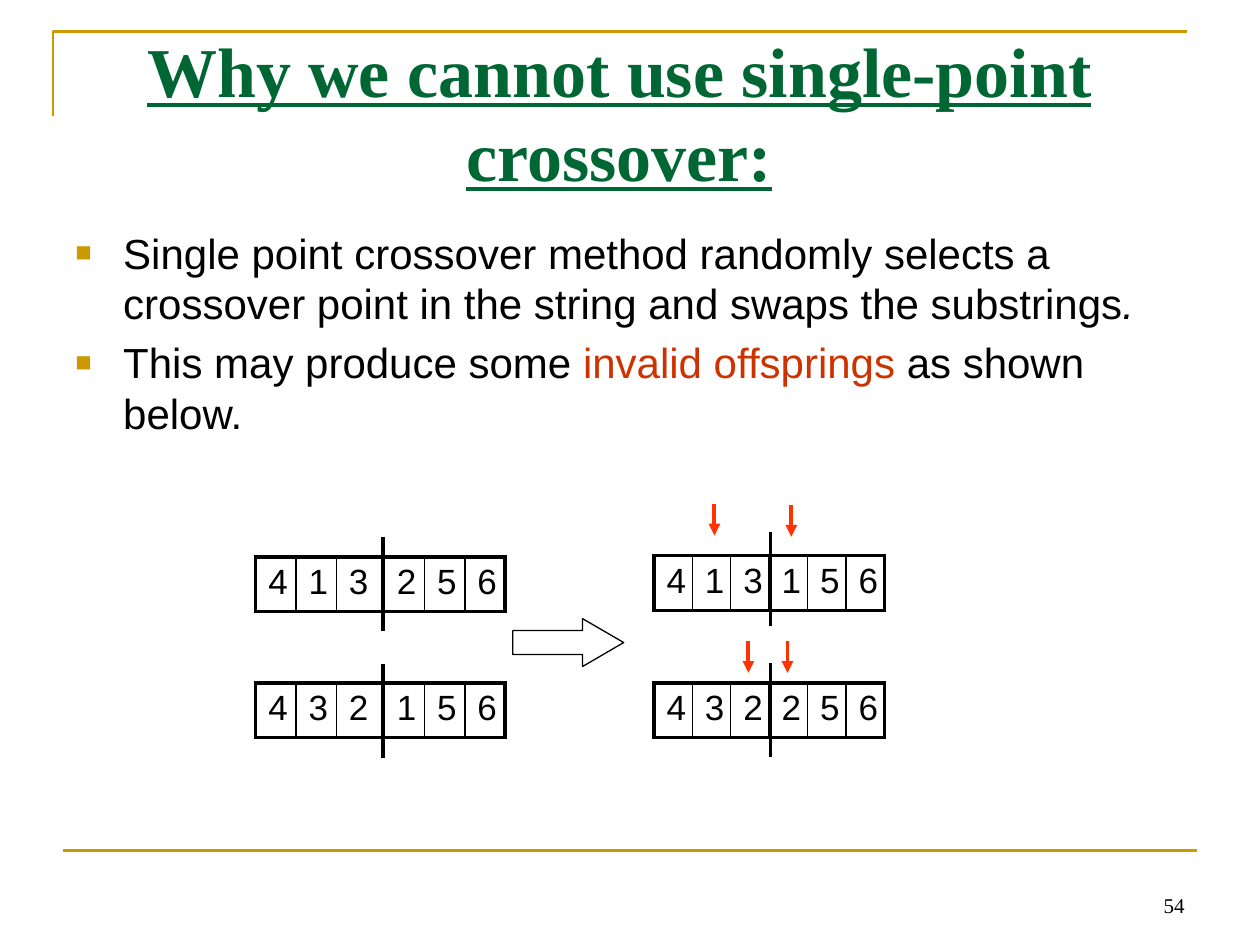
import pptx
import pptx.util
import pptx.dml.color
import pptx.enum.text
import pptx.enum.shapes
import pptx.oxml
import pptx.oxml.ns
from dataclasses import dataclass
from lxml import etree

Inches = pptx.util.Inches
Pt = pptx.util.Pt
qn = pptx.oxml.ns.qn
ALIGN = pptx.enum.text.PP_ALIGN
ANCHOR = pptx.enum.text.MSO_ANCHOR
KIND = pptx.enum.shapes.MSO_SHAPE


@dataclass(frozen=True)
class Theme:
    gold: str = "CC9900"
    green: str = "006633"
    rust: str = "CC3300"
    red: str = "FF3300"
    black: str = "000000"
    white: str = "FFFFFF"
    serif: str = "Times New Roman"
    sans: str = "Arial"
    title: int = 40
    body: int = 24
    cell: int = 20
    small: int = 12
    thick: float = 2.25
    rule: float = 1.5
    thin: float = 1


THEME = Theme()


def rgb(code):
    return pptx.dml.color.RGBColor.from_string(code)


def add_run(par, text, size, face, color=THEME.black):
    run = par.add_run()
    run.text = text
    run.font.size = Pt(size)
    run.font.name = face
    run.font.color.rgb = rgb(color)
    return run


def add_box(slide, box, anchor=ANCHOR.TOP):
    frame = slide.shapes.add_textbox(*map(Inches, box)).text_frame
    frame.word_wrap = True
    frame.vertical_anchor = anchor
    return frame


def add_line(slide, start, end, color, width, arrow=False):
    line = slide.shapes.add_connector(
        pptx.enum.shapes.MSO_CONNECTOR.STRAIGHT, *map(Inches, start + end))
    line.line.color.rgb = rgb(color)
    line.line.width = Pt(width)
    if arrow:
        etree.SubElement(line.line._get_or_add_ln(), qn("a:tailEnd"), type="triangle")
    etree.SubElement(line._element.spPr, qn("a:effectLst"))


def add_frame(slide, box):
    """Corner rule at the top left."""
    x, y, w, h = box
    pen = slide.shapes.build_freeform(Inches(x), Inches(y + h))
    pen.add_line_segments([(Inches(x), Inches(y)), (Inches(x + w), Inches(y))], close=False)
    shape = pen.convert_to_shape()
    shape.shadow.inherit = False
    shape.fill.background()
    shape.line.color.rgb = rgb(THEME.gold)
    shape.line.width = Pt(THEME.rule)


def add_foot(slide, box):
    """Bottom rule with the page number below it."""
    x, y, w, h = box
    add_line(slide, (x, y), (x + w, y), THEME.gold, THEME.rule)
    par = add_box(slide, (x + w - 2.33, y + 0.08, 2.33, h), ANCHOR.BOTTOM).paragraphs[0]
    par.alignment = ALIGN.RIGHT
    add_run(par, "54", THEME.small, THEME.serif)


def add_title(slide, box):
    par = add_box(slide, box).paragraphs[0]
    par.alignment = ALIGN.CENTER
    par.line_spacing = Pt(48)
    run = add_run(par, "Why we cannot use single-point crossover:",
                  THEME.title, THEME.serif, THEME.green)
    run.font.bold = run.font.underline = True


def add_body(slide, box, points):
    frame = add_box(slide, box)
    for i, parts in enumerate(points):
        par = frame.add_paragraph() if i else frame.paragraphs[0]
        par.line_spacing = Pt(29)
        if i:
            par.space_before = Pt(4.8)
        # Square bullet with a hanging indent
        props = par._p.get_or_add_pPr()
        props.set("marL", str(Inches(0.38)))
        props.set("indent", str(Inches(-0.38)))
        tint = etree.SubElement(props, qn("a:buClr"))
        etree.SubElement(tint, qn("a:srgbClr"), val=THEME.gold)
        etree.SubElement(props, qn("a:buSzPct"), val="65000")
        etree.SubElement(props, qn("a:buFont"), typeface=THEME.sans)
        etree.SubElement(props, qn("a:buChar"), char="■")
        for text, color, slant in parts:
            add_run(par, text, THEME.body, THEME.sans, color).font.italic = slant


def add_edge(cell, side, width):
    line = etree.SubElement(cell._tc.get_or_add_tcPr(), qn("a:ln" + side), w=str(Pt(width)))
    fill = etree.SubElement(line, qn("a:solidFill"))
    etree.SubElement(fill, qn("a:srgbClr"), val=THEME.black)


def add_genes(slide, box, genes, widths, lead):
    """One string of genes, cut in the middle by a line that starts lead above it."""
    x, y, w, h = box
    grid = slide.shapes.add_table(1, len(genes), *map(Inches, box)).table
    grid.first_row = grid.horz_banding = False
    grid.rows[0].height = Inches(h)
    last = len(genes) - 1
    for i, (gene, width) in enumerate(zip(genes, widths)):
        grid.columns[i].width = Inches(width)
        cell = grid.cell(0, i)
        cell.margin_left = cell.margin_right = Inches(0.1)
        cell.margin_top = cell.margin_bottom = Inches(0.05)
        add_edge(cell, "L", THEME.thin if i else THEME.thick)
        add_edge(cell, "R", THEME.thin if i < last else THEME.thick)
        add_edge(cell, "T", THEME.thick)
        add_edge(cell, "B", THEME.thick)
        cell.fill.background()
        add_run(cell.text_frame.paragraphs[0], gene, THEME.cell, THEME.sans)
    mid = x + w / 2 + 0.01
    add_line(slide, (mid, y - lead), (mid, y - lead + 0.75), THEME.black, THEME.thick)


def add_swap(slide, box):
    """Parents on the left, offspring on the right, block arrow between."""
    x, y, w, h = box
    wide = [0.32, 0.32, 0.38, 0.32, 0.32, 0.32]
    even = [1.83 / 6] * 6
    right, low = x + w - 1.83, y + h - 0.43
    add_genes(slide, (x, y + 0.01, 2, 0.43), "413256", wide, 0.16)
    add_genes(slide, (x, low, 2, 0.43), "432156", wide, 0.15)
    add_genes(slide, (right, y, 1.83, 0.43), "413156", even, 0.19)
    add_genes(slide, (right, low, 1.83, 0.43), "432256", even, 0.16)

    arrow = slide.shapes.add_shape(
        KIND.RIGHT_ARROW, *map(Inches, (x + 2.04, y + 0.5, 0.88, 0.38)))
    arrow.adjustments[0], arrow.adjustments[1] = 0.5, 0.86
    arrow.shadow.inherit = False
    arrow.fill.solid()
    arrow.fill.fore_color.rgb = rgb(THEME.white)
    arrow.line.color.rgb = rgb(THEME.black)
    arrow.line.width = Pt(0.75)

    # Marks over the repeated genes
    for dx, top in ((0.48, y - 0.41), (1.09, y - 0.4), (0.75, low - 0.33), (1.06, low - 0.33)):
        add_line(slide, (right + dx, top), (right + dx, top + 0.25),
                 THEME.red, THEME.thick, arrow=True)


def main():
    deck = pptx.Presentation()
    deck.slide_width, deck.slide_height = Inches(10), Inches(7.5)
    slide = deck.slides.add_slide(deck.slide_layouts[6])
    add_frame(slide, (0.42, 0.25, 9, 0.67))
    add_foot(slide, (0.5, 6.75, 9, 0.5))
    add_title(slide, (0.5, 0.17, 8.83, 1.36))
    add_body(slide, (0.5, 1.75, 8.83, 1.67), [
        [("Single point crossover method randomly selects a crossover point "
          "in the string and swaps the substrings", THEME.black, False),
         (".", THEME.black, True)],
        [("This may produce some ", THEME.black, False),
         ("invalid offsprings", THEME.rust, False),
         (" as shown below.", THEME.black, False)],
    ])
    add_swap(slide, (2.03, 4.41, 4.99, 1.44))
    deck.save("out.pptx")


if __name__ == "__main__":
    main()
